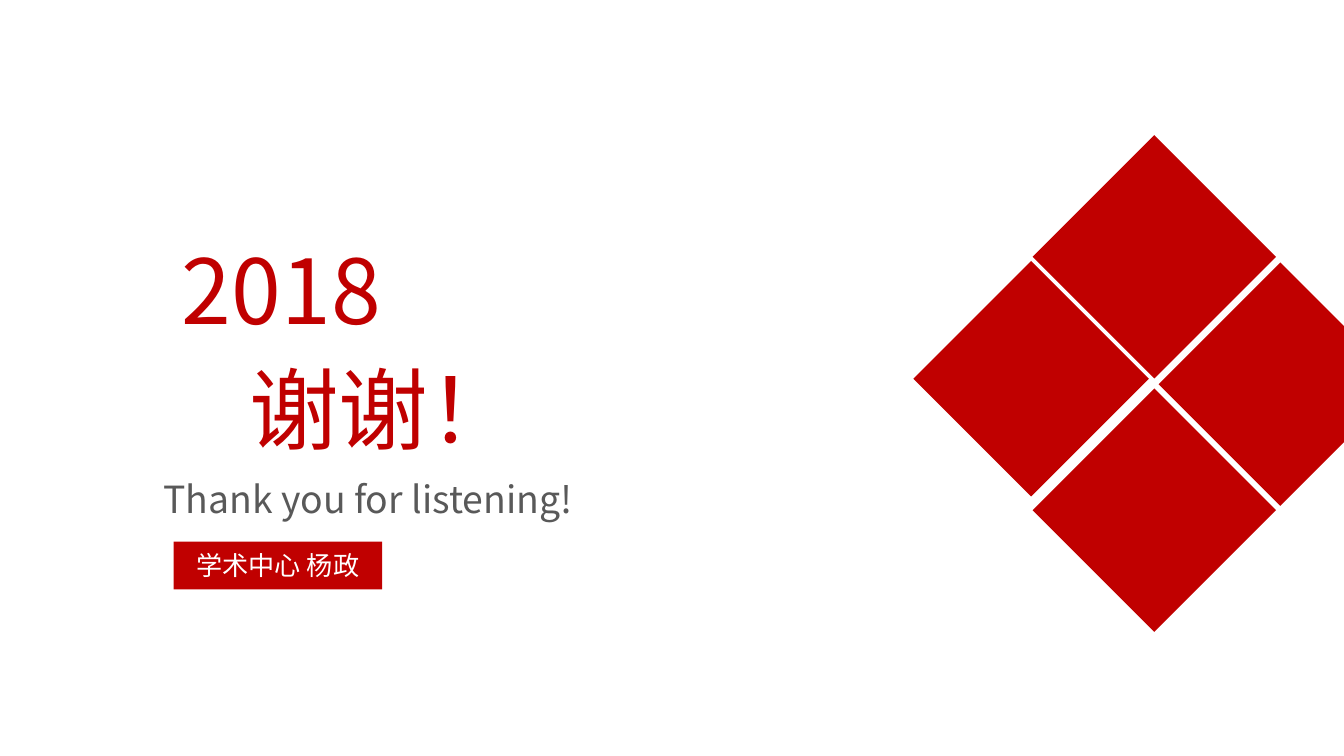
from lxml.etree import SubElement
from pptx import Presentation
from pptx.dml.color import RGBColor
from pptx.enum.shapes import MSO_SHAPE
from pptx.enum.text import MSO_ANCHOR, MSO_AUTO_SIZE, PP_ALIGN
from pptx.oxml.ns import qn
from pptx.util import Emu, Pt

EMU_PER_PX = 9525
FONT = "Noto Sans CJK SC"
RED = "C00000"
GRAY = "595959"
WHITE = "FFFFFF"


def px(length):
    return Emu(length * EMU_PER_PX)


def color(hex_value):
    return RGBColor.from_string(hex_value)


def place(shape, left, top, width, height):
    shape.left, shape.top = px(left), px(top)
    shape.width, shape.height = px(width), px(height)


def write_text(shape, text, size, hex_color, alignment):
    paragraph = shape.text_frame.paragraphs[0]
    paragraph.text = text
    paragraph.alignment = alignment
    paragraph.space_before = Pt(0)
    font = paragraph.font
    font.size = Pt(size)
    font.color.rgb = color(hex_color)
    font.name = FONT
    SubElement(font._rPr, qn("a:ea"), typeface=FONT)


def format_line(shape, text, size, hex_color):
    frame = shape.text_frame
    frame.margin_left = frame.margin_right = px(7)
    frame.margin_top = frame.margin_bottom = px(4)
    frame.vertical_anchor = MSO_ANCHOR.TOP
    frame.word_wrap = False
    frame.auto_size = MSO_AUTO_SIZE.SHAPE_TO_FIT_TEXT
    write_text(shape, text, size, hex_color, PP_ALIGN.RIGHT)


def add_line(slide, box, text, size, hex_color):
    shape = slide.shapes.add_textbox(*map(px, box))
    format_line(shape, text, size, hex_color)


def add_rectangle(slide, left, top, width, height):
    shape = slide.shapes.add_shape(
        MSO_SHAPE.RECTANGLE, px(left), px(top), px(width), px(height)
    )
    shape.shadow.inherit = False
    shape.fill.solid()
    shape.fill.fore_color.rgb = color(RED)
    shape.line.fill.background()
    return shape


def add_diamond(slide, left, top, side):
    shape = add_rectangle(slide, left, top, side, side)
    shape.rotation = 45


def add_presenter(slide):
    shape = add_rectangle(slide, 124, 387, 149, 34)
    shape.text_frame.vertical_anchor = MSO_ANCHOR.MIDDLE
    shape.text_frame.word_wrap = False
    write_text(shape, "学术中心 杨政", 14, WHITE, PP_ALIGN.CENTER)


def main():
    presentation = Presentation()
    presentation.slide_width, presentation.slide_height = px(960), px(540)
    slide = presentation.slides.add_slide(presentation.slide_layouts[5])

    title = slide.shapes.title
    place(title, 169, 249, 208, 84)
    format_line(title, "谢谢！", 48, RED)

    add_presenter(slide)
    add_line(slide, (113, 164, 166, 84), "2018", 48, RED)
    for left, top, side in (
        (677, 211, 119),
        (853, 213, 123),
        (763, 303, 123),
        (763, 122, 123),
    ):
        add_diamond(slide, left, top, side)
    add_line(slide, (100, 336, 316, 39), "Thank you for listening!", 20, GRAY)

    presentation.save("out.pptx")


if __name__ == "__main__":
    main()
